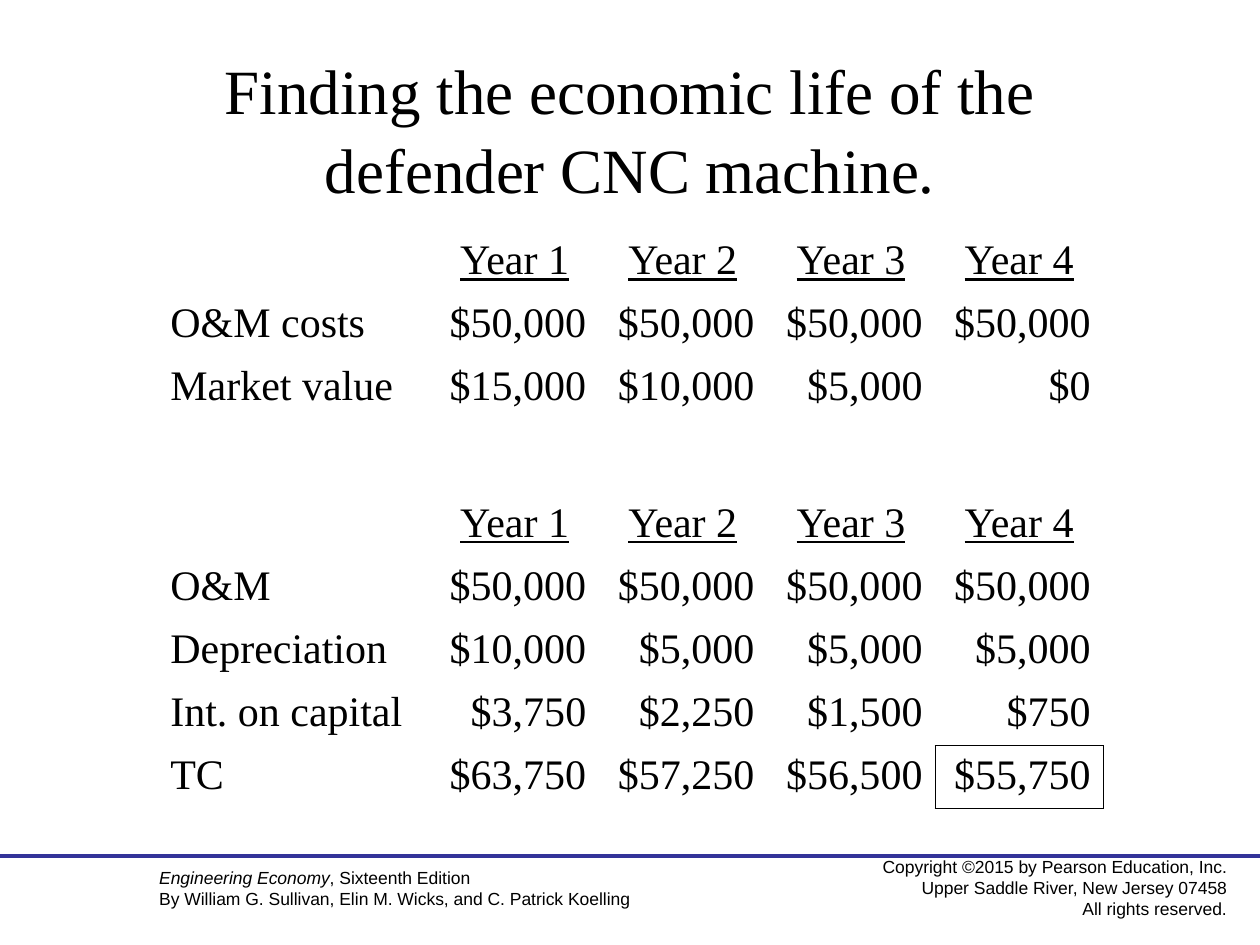
from lxml import etree
from pptx import Presentation
from pptx.dml.color import RGBColor
from pptx.enum import shapes, text
from pptx.oxml import ns
from pptx.util import Cm, Pt

BLACK = RGBColor(0x00, 0x00, 0x00)
NAVY = RGBColor(0x33, 0x33, 0x99)
LEFT, MID, RIGHT = text.PP_ALIGN.LEFT, text.PP_ALIGN.CENTER, text.PP_ALIGN.RIGHT


def add_text(box, lines, face, size, align, anchor):
    """Add a text box; each line is a list of (words, italic) runs."""
    frame = slide.shapes.add_textbox(*[Cm(v) for v in box]).text_frame
    frame.word_wrap = True
    frame.vertical_anchor = anchor
    for i, line in enumerate(lines):
        para = frame.paragraphs[0] if i == 0 else frame.add_paragraph()
        para.alignment = align
        para.font.name, para.font.size = face, Pt(size)
        para.font.color.rgb = BLACK
        for words, italic in line:
            run = para.add_run()
            run.text = words
            if italic:
                run.font.italic = True
    return frame


def add_edge(cell, side):
    """Draw a thin black border on one side: lnL, lnR, lnT or lnB."""
    props = cell._tc.get_or_add_tcPr()
    edge = etree.Element(ns.qn(f"a:{side}"), w=str(Pt(0.45)))
    fill = etree.SubElement(edge, ns.qn("a:solidFill"))
    etree.SubElement(fill, ns.qn("a:srgbClr"), val=str(BLACK))
    # borders must come before the cell fill
    place = len(props.findall(ns.qn("a:lnL")) + props.findall(ns.qn("a:lnR"))
                + props.findall(ns.qn("a:lnT")))
    props.insert(place, edge)


prs = Presentation()
prs.slide_width, prs.slide_height = Cm(25.4), Cm(19.05)
slide = prs.slides.add_slide(prs.slide_layouts[6])

# Footer
add_text((16.93, 17.15, 8.05, 1.5),
         [[("Copyright ©2015 by Pearson Education, Inc.", False)],
          [("Upper Saddle River, New Jersey 07458", False)],
          [("All rights reserved.", False)]],
         "Arial", 10, RIGHT, text.MSO_ANCHOR.MIDDLE)
add_text((2.96, 17.35, 12.7, 1.11),
         [[("Engineering Economy", True), (", Sixteenth Edition", False)],
          [("By William G. Sullivan, Elin M. Wicks, and C. Patrick Koelling", False)]],
         "Arial", 10, LEFT, text.MSO_ANCHOR.TOP)
rule = slide.shapes.add_connector(
    shapes.MSO_CONNECTOR.STRAIGHT, 0, Cm(17.25), Cm(25.4), Cm(17.25))
rule.line.color.rgb = NAVY
rule.line.width = Pt(2.25)
etree.SubElement(rule._element.spPr, ns.qn("a:effectLst"))

# Title
title = add_text((1.9, 1.07, 21.6, 2.97),
                 [[("Finding the economic life of the defender CNC machine.", False)]],
                 "Times New Roman", 36, MID, text.MSO_ANCHOR.MIDDLE)
title.margin_left = title.margin_right = Cm(0.5)
title.paragraphs[0].line_spacing = 1.05

# Tables
years = ["", "Year 1", "Year 2", "Year 3", "Year 4"]
costs = ["$50,000"] * 4
given = [
    years,
    ["O&M costs", *costs],
    ["Market value", "$15,000", "$10,000", "$5,000", "$0"],
]
totals = [
    years,
    ["O&M", *costs],
    ["Depreciation", "$10,000", "$5,000", "$5,000", "$5,000"],
    ["Int. on capital", "$3,750", "$2,250", "$1,500", "$750"],
    ["TC", "$63,750", "$57,250", "$56,500", "$55,750"],
]
for top, rows in ((4.66, given), (9.95, totals)):
    grid = slide.shapes.add_table(len(rows), len(years), Cm(3.18), Cm(top),
                                  Cm(19.05), Cm(1.27 * len(rows))).table
    grid.first_row = grid.horz_banding = False
    for c, col in enumerate(grid.columns):
        col.width = Cm(3.39 if c else 5.5)
    for r, row in enumerate(rows):
        for c, words in enumerate(row):
            cell = grid.cell(r, c)
            cell.fill.background()
            para = cell.text_frame.paragraphs[0]
            para.text = words
            para.alignment = LEFT if c == 0 else MID if r == 0 else RIGHT
            para.font.name, para.font.size = "Times New Roman", Pt(24)
            para.font.color.rgb = BLACK
            para.font.underline = r == 0

# Box around the lowest total cost
for side in ("lnL", "lnR", "lnT", "lnB"):
    add_edge(grid.cell(4, 4), side)
add_edge(grid.cell(3, 4), "lnB")
add_edge(grid.cell(4, 3), "lnR")

prs.save("out.pptx")
